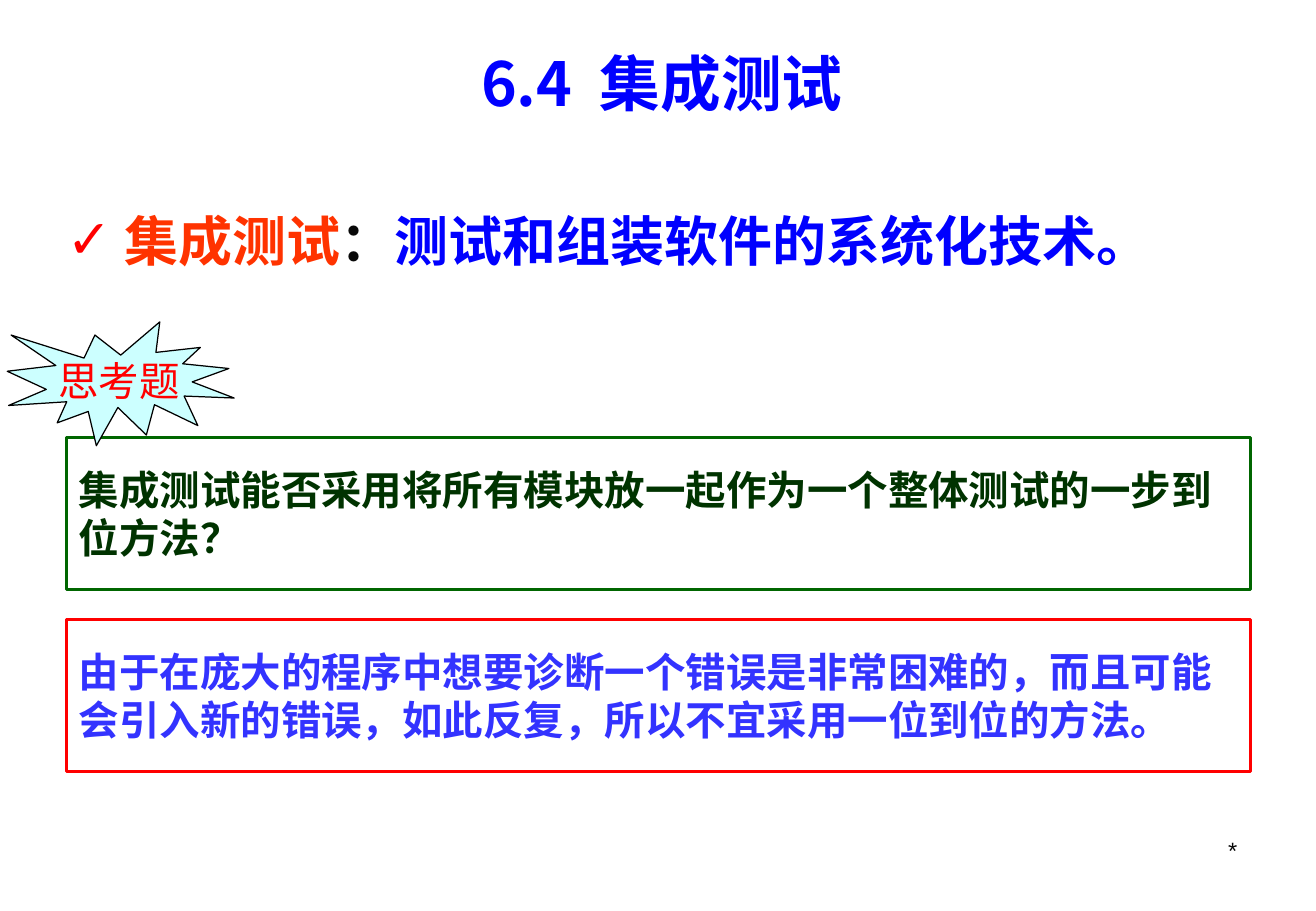
from pptx import Presentation
from pptx.dml.color import RGBColor
from pptx.enum.shapes import MSO_SHAPE
from pptx.enum.text import MSO_ANCHOR, PP_ALIGN
from pptx.oxml.ns import qn
from pptx.util import Pt
from lxml.etree import SubElement

TITLE = ["6.4", " ", "集成测试"]
DEFINITION = [("集成测试", "term"), ("：", "ink"), ("测试和组装软件的系统化技术。", "blue")]
BADGE = "思考题"
PANELS = [
    ("集成测试能否采用将所有模块放一起作为一个整体测试的一步到位方法？", "question", "green"),
    ("由于在庞大的程序中想要诊断一个错误是非常困难的，而且可能会引入新的错误，如此反复，所以不宜采用一位到位的方法。", "answer", "red"),
]
PAGE_MARK = "*"

THEME = {
    "colors": {
        "ink": "080808", "blue": "0000FF", "term": "FF3300", "red": "FF0000",
        "green": "006600", "question": "003300", "answer": "3333FF",
        "badge": "CCFFFF", "outline": "000000",
    },
    "sizes": {"title": 36, "definition": 32, "body": 24, "mark": 14},
    "fonts": {"title": "Noto Sans CJK SC", "body": "Arial"},
}

SLIDE_SIZE = (780.48, 540)
TITLE_AREA = (265, 26, 255, 46)
DEFINITION_AREA = (32.4, 111.6, 731.5, 102)
BADGE_AREA = (4.3, 190.8, 134.6, 73.4)
MARK_AREA = (558.7, 491.8, 182.2, 37.4)
PANEL_LEFT, PANEL_TOP, PANEL_WIDTH, PANEL_HEIGHT, PANEL_STEP = 39.6, 259.2, 702, 90, 108
BULLET_INDENT = 34.5
TITLE_GAP = 8


def color(name):
    return RGBColor.from_string(THEME["colors"][name])


def apply(target, values):
    for name, value in values.items():
        setattr(target, name, value)


def points(area):
    return [Pt(value) for value in area]


def add_span(para, text, size, tone, bold=False, font="body"):
    span = para.add_run()
    span.text = text
    face = THEME["fonts"][font]
    apply(span.font, {"size": Pt(THEME["sizes"][size]), "bold": bold, "name": face})
    span.font.color.rgb = color(tone)
    SubElement(span.font._element, qn("a:ea"), typeface=face)
    return span


def prepare(box, anchor=MSO_ANCHOR.MIDDLE, align=PP_ALIGN.LEFT, wrap=True):
    frame = box.text_frame
    apply(frame, {
        "word_wrap": wrap, "vertical_anchor": anchor,
        "margin_left": Pt(7.2), "margin_right": Pt(7.2),
        "margin_top": Pt(3.6), "margin_bottom": Pt(3.6),
    })
    para = frame.paragraphs[0]
    apply(para, {"alignment": align, "space_before": Pt(0)})
    return para


def add_figure(page, kind, area, outline, weight, fill=None):
    shape = page.shapes.add_shape(kind, *points(area))
    shape.shadow.inherit = False
    if fill:
        shape.fill.solid()
        shape.fill.fore_color.rgb = color(fill)
    else:
        shape.fill.background()
    shape.line.color.rgb = color(outline)
    shape.line.width = Pt(weight)
    return shape


def add_title(page):
    title = page.shapes.title
    apply(title, dict(zip(("left", "top", "width", "height"), points(TITLE_AREA))))
    para = prepare(title, align=PP_ALIGN.CENTER)
    for text in TITLE:
        span = add_span(para, text, "title", "blue", True, "title")
        if text == " ":
            span.font._element.set("spc", str(TITLE_GAP * 100))


def add_definition(page):
    box = page.shapes.add_textbox(*points(DEFINITION_AREA))
    para = prepare(box, MSO_ANCHOR.TOP)
    para.line_spacing = 1.2
    properties = para._p.get_or_add_pPr()
    properties.set("marL", str(Pt(BULLET_INDENT)))
    properties.set("indent", str(-Pt(BULLET_INDENT)))
    bullet_color = SubElement(properties, qn("a:buClr"))
    SubElement(bullet_color, qn("a:srgbClr"), val=THEME["colors"]["red"])
    SubElement(properties, qn("a:buFont"), typeface=THEME["fonts"]["body"])
    SubElement(properties, qn("a:buChar"), char="✓")
    for text, tone in DEFINITION:
        add_span(para, text, "definition", tone, True)


def add_panels(page):
    for index, (text, tone, outline) in enumerate(PANELS):
        area = (PANEL_LEFT, PANEL_TOP + index * PANEL_STEP, PANEL_WIDTH, PANEL_HEIGHT)
        panel = add_figure(page, MSO_SHAPE.RECTANGLE, area, outline, 1.75)
        add_span(prepare(panel), text, "body", tone, True)


def add_badge(page):
    badge = add_figure(page, MSO_SHAPE.EXPLOSION1, BADGE_AREA, "outline", 0.75, "badge")
    add_span(prepare(badge, align=PP_ALIGN.CENTER, wrap=False), BADGE, "body", "red")


def add_page_mark(page):
    box = page.shapes.add_textbox(*points(MARK_AREA))
    add_span(prepare(box, MSO_ANCHOR.TOP, PP_ALIGN.RIGHT), PAGE_MARK, "mark", "ink")


def main():
    deck = Presentation()
    deck.slide_width, deck.slide_height = points(SLIDE_SIZE)
    page = deck.slides.add_slide(deck.slide_layouts[5])
    add_title(page)
    add_definition(page)
    add_panels(page)
    add_badge(page)
    add_page_mark(page)
    deck.save("out.pptx")


if __name__ == "__main__":
    main()
